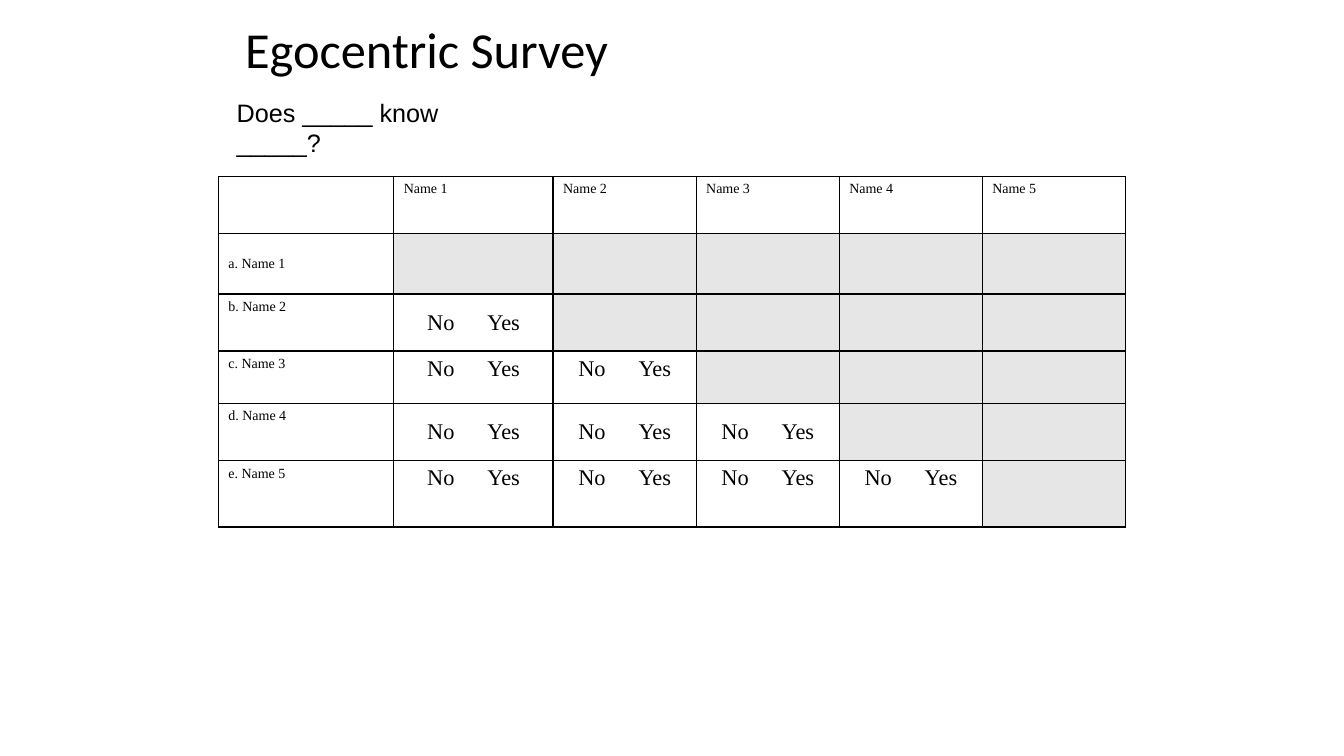
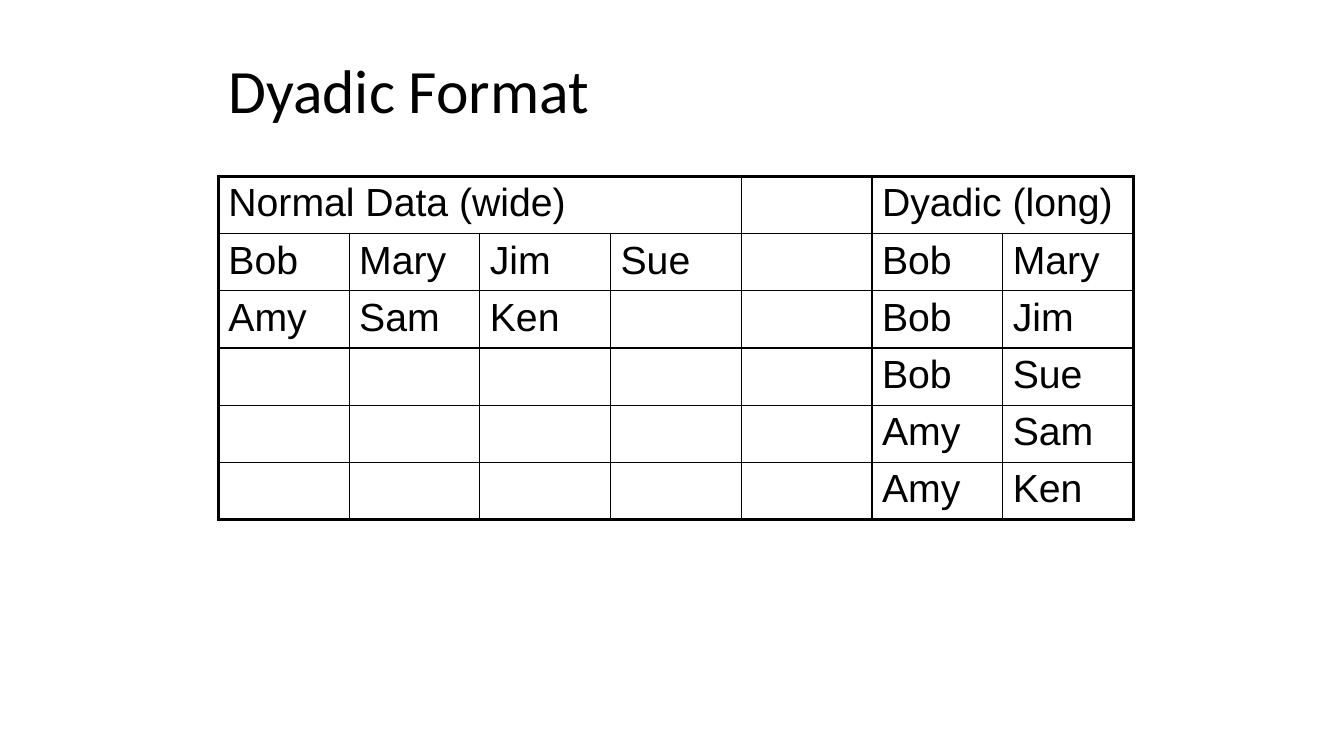
from lxml import etree
from pptx import Presentation
from pptx.dml.color import RGBColor
from pptx.enum.text import MSO_ANCHOR
from pptx.oxml.ns import qn
from pptx.util import Pt

TOP, MIDDLE = MSO_ANCHOR.TOP, MSO_ANCHOR.MIDDLE
COLORS = {"ink": "000000", "blocked": "E7E6E6"}
TITLE_FONT, BODY_FONT, FORM_FONT = "Calibri", "Arial", "Times New Roman"
THIN, THICK = 1, 2.25
ANSWER_WIDTH, YES_TAB = 66, 43


def write(frame, text, *, font, size, line_spacing=None, tab=None):
    """Write one formatted paragraph into a text frame."""
    paragraph = frame.paragraphs[0]
    if line_spacing:
        paragraph.line_spacing = line_spacing
    if tab:
        stops = etree.SubElement(paragraph._p.get_or_add_pPr(), qn("a:tabLst"))
        etree.SubElement(stops, qn("a:tab"), pos=str(Pt(tab)), algn="l")
    run = paragraph.add_run()
    run.text = text
    run.font.name = font
    run.font.size = Pt(size)
    run.font.color.rgb = RGBColor.from_string(COLORS["ink"])


def add_text(slide, box, text, *, anchor=TOP, wrap=True, **style):
    """Place a line of text in a box."""
    frame = slide.shapes.add_textbox(*map(Pt, box)).text_frame
    frame.word_wrap = wrap
    frame.vertical_anchor = anchor
    write(frame, text, **style)


def add_title(slide, box, text, size):
    """Place a slide title, centred vertically in its box."""
    add_text(slide, box, text, anchor=MIDDLE, font=TITLE_FONT, size=size, line_spacing=0.9)


def rule_cell(cell, widths):
    """Draw the left, right, top and bottom borders of a cell."""
    properties = cell._tc.get_or_add_tcPr()
    for place, (side, width) in enumerate(zip("LRTB", widths)):
        line = etree.Element(qn(f"a:ln{side}"), w=str(Pt(width)))
        fill = etree.SubElement(line, qn("a:solidFill"))
        etree.SubElement(fill, qn("a:srgbClr"), val=COLORS["ink"])
        properties.insert(place, line)


def add_grid(slide, left, top, widths, heights, outline, merges=()):
    """Add an unfilled table with thin inner rules and the given outline."""
    grid = slide.shapes.add_table(
        len(heights), len(widths), Pt(left), Pt(top), Pt(sum(widths)), Pt(sum(heights))
    ).table
    grid.first_row = grid.horz_banding = False
    for column, width in zip(grid.columns, widths):
        column.width = Pt(width)
    for row, height in zip(grid.rows, heights):
        row.height = Pt(height)
    for row, first, last in merges:
        grid.cell(row, first).merge(grid.cell(row, last))
    for r in range(len(heights)):
        for c in range(len(widths)):
            cell = grid.cell(r, c)
            cell.fill.background()
            end = c + (cell.span_width if cell.is_merge_origin else 1)
            edges = (c == 0, end == len(widths), r == 0, r == len(heights) - 1)
            rule_cell(cell, [outline if edge else THIN for edge in edges])
    return grid


def add_survey_grid(slide, left, top):
    """Add the who-knows-whom form with answers below the diagonal."""
    widths = [125.3, 113.8] + [102.2] * 4
    heights = [40.8, 43.2, 40.8, 37.4, 40.8, 47.5]
    grid = add_grid(slide, left, top, widths, heights, THIN)
    for person, letter in enumerate("abcde", start=1):
        name = f"Name {person}"
        write(grid.cell(0, person).text_frame, name, font=FORM_FONT, size=10)
        label = grid.cell(person, 0)
        label.vertical_anchor = MIDDLE if person == 1 else TOP
        write(label.text_frame, f"{letter}. {name}", font=FORM_FONT, size=10)
        for other in range(1, 6):
            answer = grid.cell(person, other)
            if other >= person:
                answer.fill.solid()
                answer.fill.fore_color.rgb = RGBColor.from_string(COLORS["blocked"])
                continue
            answer.vertical_anchor = MIDDLE if person % 2 == 0 else TOP
            answer.margin_left = Pt((widths[other] - ANSWER_WIDTH) / 2)
            answer.margin_right = 0
            write(answer.text_frame, "No\tYes", font=FORM_FONT, size=16, tab=YES_TAB)


def add_format_grid(slide, left, top):
    """Add the comparison of wide rows with long pairs."""
    families = [["Bob", "Mary", "Jim", "Sue"], ["Amy", "Sam", "Ken"]]
    pairs = [(head, member) for head, *members in families for member in members]
    grid = add_grid(slide, left, top, [93.4] * 7, [40.8] * 6, THICK, [(0, 0, 3), (0, 5, 6)])
    entries = {(0, 0): "Normal Data (wide)", (0, 5): "Dyadic (long)"}
    for start, block in ((0, families), (5, pairs)):
        for row, names in enumerate(block, start=1):
            for column, name in enumerate(names, start=start):
                entries[row, column] = name
    for (row, column), text in entries.items():
        write(grid.cell(row, column).text_frame, text, font=BODY_FONT, size=28)


def build_survey(slide):
    """Build the survey slide."""
    add_title(slide, (168, 24, 612, 26.6), "Egocentric Survey", 36)
    add_text(slide, (162, 66, 223, 29), "Does _____ know _____?",
             wrap=False, font=BODY_FONT, size=18)
    add_survey_grid(slide, 156, 126)


def build_format(slide):
    """Build the data format slide."""
    add_title(slide, (156, 21.6, 648, 90), "Dyadic Format", 44)
    add_format_grid(slide, 156, 126)


deck = Presentation()
deck.slide_width, deck.slide_height = Pt(960), Pt(540)
for build in (build_survey, build_format):
    build(deck.slides.add_slide(deck.slide_layouts[6]))
deck.save("out.pptx")
